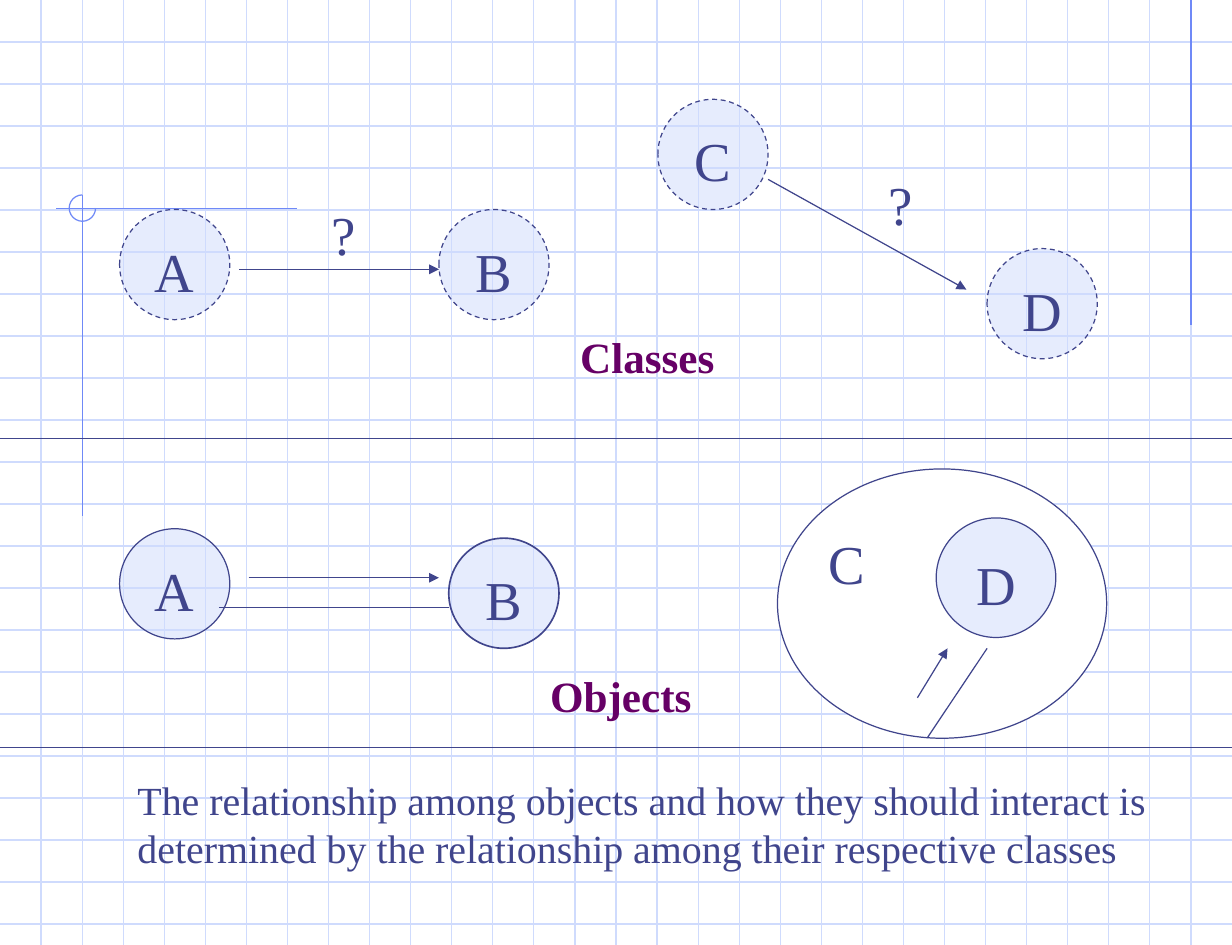
from dataclasses import dataclass
from typing import Optional

from lxml.etree import SubElement
from pptx import Presentation
from pptx.dml.color import RGBColor
from pptx.enum.dml import MSO_LINE_DASH_STYLE as Dash
from pptx.enum.shapes import MSO_AUTO_SHAPE_TYPE as Preset, MSO_CONNECTOR_TYPE as Connector
from pptx.enum.text import MSO_VERTICAL_ANCHOR as Anchor, PP_PARAGRAPH_ALIGNMENT as Align
from pptx.oxml.ns import qn
from pptx.shapes.autoshape import Shape
from pptx.slide import Slide
from pptx.util import Cm, Pt


@dataclass(frozen=True)
class Theme:
    font: str = "Times New Roman"
    ink: str = "40458C"
    heading: str = "660066"
    grid: str = "CFDBFD"
    frame: str = "6F89F7"
    paper: str = "FFFFFF"
    letter_size: float = 33
    heading_size: float = 26
    caption_size: float = 24
    caption_leading: float = 28.8
    thin: float = 0.75


@dataclass(frozen=True)
class Node:
    letter: str
    left: float
    top: float
    diameter: float = 2.34
    dashed: bool = False
    outline: float = 0.75


@dataclass(frozen=True)
class Link:
    x1: float
    y1: float
    x2: float
    y2: float
    arrow: bool = False


@dataclass(frozen=True)
class Label:
    text: str
    left: float
    top: float
    width: float
    height: float
    size: float
    color: str
    bold: bool = False
    anchor: Anchor = Anchor.TOP
    leading: Optional[float] = None


THEME = Theme()
WIDTH, HEIGHT = 26.16, 20.07
COLUMNS, ROWS = 30, 22.5
COLUMN, ROW = WIDTH / COLUMNS, HEIGHT / ROWS
LETTER_DROP = 0.24

GRID = [Link(0, row * ROW, WIDTH, row * ROW) for row in range(1, 23)] + [
    Link(column * COLUMN, 0, column * COLUMN, HEIGHT) for column in range(1, COLUMNS)
]
FRAME = [
    Link(29 * COLUMN, 0, 29 * COLUMN, 6.91),
    Link(6.3, 4.42, 1.19, 4.42),
    Link(1.75, 4.14, 1.75, 10.95),
]
NODES = [
    Node("A", 2.54, 4.45, dashed=True),
    Node("B", 9.32, 4.45, dashed=True),
    Node("D", 20.96, 5.28, dashed=True),
    Node("C", 13.97, 2.11, dashed=True),
    Node("A", 2.54, 11.23),
    Node("B", 9.53, 11.43, outline=1),
    Node("D", 19.88, 11, diameter=2.54),
]
LINKS = [
    Link(5.08, 5.72, 9.32, 5.72, arrow=True),
    Link(16.31, 3.81, 20.52, 6.15, arrow=True),
    Link(4.65, 12.91, 9.53, 12.91),
    Link(5.28, 12.27, 9.32, 12.27, arrow=True),
    Link(19.48, 14.82, 20.12, 13.77, arrow=True),
    Link(20.96, 13.77, 19.69, 15.67),
]
DIVIDERS = [Link(0, y, WIDTH, y) for y in (9.32, 15.88)]
HEADINGS = [
    Label(text, left, top, 4.24, 1.02, THEME.heading_size, THEME.heading, True, Anchor.BOTTOM)
    for text, left, top in (("Classes", 12.07, 7.22), ("Objects", 11.43, 14.43))
]
LETTERS = [
    Label(text, left, top, width, 1.65, THEME.letter_size, THEME.ink)
    for text, left, top, width in (
        ("?", 6.78, 4.14, 1.7),
        ("?", 18.62, 3.51, 1.7),
        ("C", 17.35, 11.13, 1.07),
    )
]
CAPTION = Label(
    "The relationship among objects and how they should interact is "
    "determined by the relationship among their respective classes",
    2.67, 16.35, 22.73, 2.29, THEME.caption_size, THEME.ink,
    leading=THEME.caption_leading,
)


def rgb(color: str) -> RGBColor:
    return RGBColor.from_string(color)


def style_text(shape: Shape, text: str, size: float, color: str, bold: bool = False) -> None:
    shape.text_frame.text = text
    for run in shape.text_frame.paragraphs[0].runs:
        run.font.name = THEME.font
        run.font.size = Pt(size)
        run.font.bold = bold
        run.font.color.rgb = rgb(color)


def draw_link(slide: Slide, link: Link, color: str) -> None:
    connector = slide.shapes.add_connector(
        Connector.STRAIGHT, Cm(link.x1), Cm(link.y1), Cm(link.x2), Cm(link.y2)
    )
    connector.line.color.rgb = rgb(color)
    connector.line.width = Pt(THEME.thin)
    if link.arrow:
        SubElement(connector.line._get_or_add_ln(), qn("a:tailEnd"), type="triangle")
    SubElement(connector._element.spPr, qn("a:effectLst"))


def draw_outline(slide: Slide, preset: Preset, left: float, top: float, width: float,
                 height: float, color: str, weight: float = THEME.thin) -> Shape:
    """Add an unfilled, shadowless preset shape."""
    shape = slide.shapes.add_shape(preset, Cm(left), Cm(top), Cm(width), Cm(height))
    shape.shadow.inherit = False
    shape.fill.background()
    shape.line.color.rgb = rgb(color)
    shape.line.width = Pt(weight)
    return shape


def draw_node(slide: Slide, node: Node) -> None:
    circle = draw_outline(slide, Preset.OVAL, node.left, node.top, node.diameter,
                          node.diameter, THEME.ink, node.outline)
    circle.fill.solid()
    circle.fill.fore_color.rgb = rgb(THEME.grid)
    tint = circle._element.spPr.find(f"{qn('a:solidFill')}/{qn('a:srgbClr')}")
    SubElement(tint, qn("a:alpha"), val="50000")
    if node.dashed:
        circle.line.dash_style = Dash.DASH
    style_text(circle, node.letter, THEME.letter_size, THEME.ink)
    frame = circle.text_frame
    frame.word_wrap = False
    frame.vertical_anchor = Anchor.MIDDLE
    frame.margin_top, frame.margin_bottom = Cm(LETTER_DROP), Cm(0)
    frame.paragraphs[0].alignment = Align.CENTER


def draw_label(slide: Slide, label: Label) -> None:
    box = slide.shapes.add_textbox(
        Cm(label.left), Cm(label.top), Cm(label.width), Cm(label.height)
    )
    style_text(box, label.text, label.size, label.color, label.bold)
    box.text_frame.word_wrap = True
    box.text_frame.vertical_anchor = label.anchor
    if label.leading:
        box.text_frame.paragraphs[0].line_spacing = Pt(label.leading)


def main() -> None:
    deck = Presentation()
    deck.slide_width, deck.slide_height = Cm(WIDTH), Cm(HEIGHT)
    slide = deck.slides.add_slide(deck.slide_layouts[6])

    for links, color in ((GRID, THEME.grid), (FRAME, THEME.frame)):
        for link in links:
            draw_link(slide, link, color)
    corner = draw_outline(slide, Preset.ARC, 1.47, 4.14, 0.56, 0.56, THEME.frame)
    corner.adjustments[0], corner.adjustments[1] = 0, 162

    container = draw_outline(slide, Preset.OVAL, 16.51, 9.96, 6.99, 5.72, THEME.ink)
    container.fill.solid()
    container.fill.fore_color.rgb = rgb(THEME.paper)

    for node in NODES:
        draw_node(slide, node)
    for link in LINKS + DIVIDERS:
        draw_link(slide, link, THEME.ink)
    for label in [*HEADINGS, *LETTERS, CAPTION]:
        draw_label(slide, label)

    deck.save("out.pptx")


if __name__ == "__main__":
    main()
